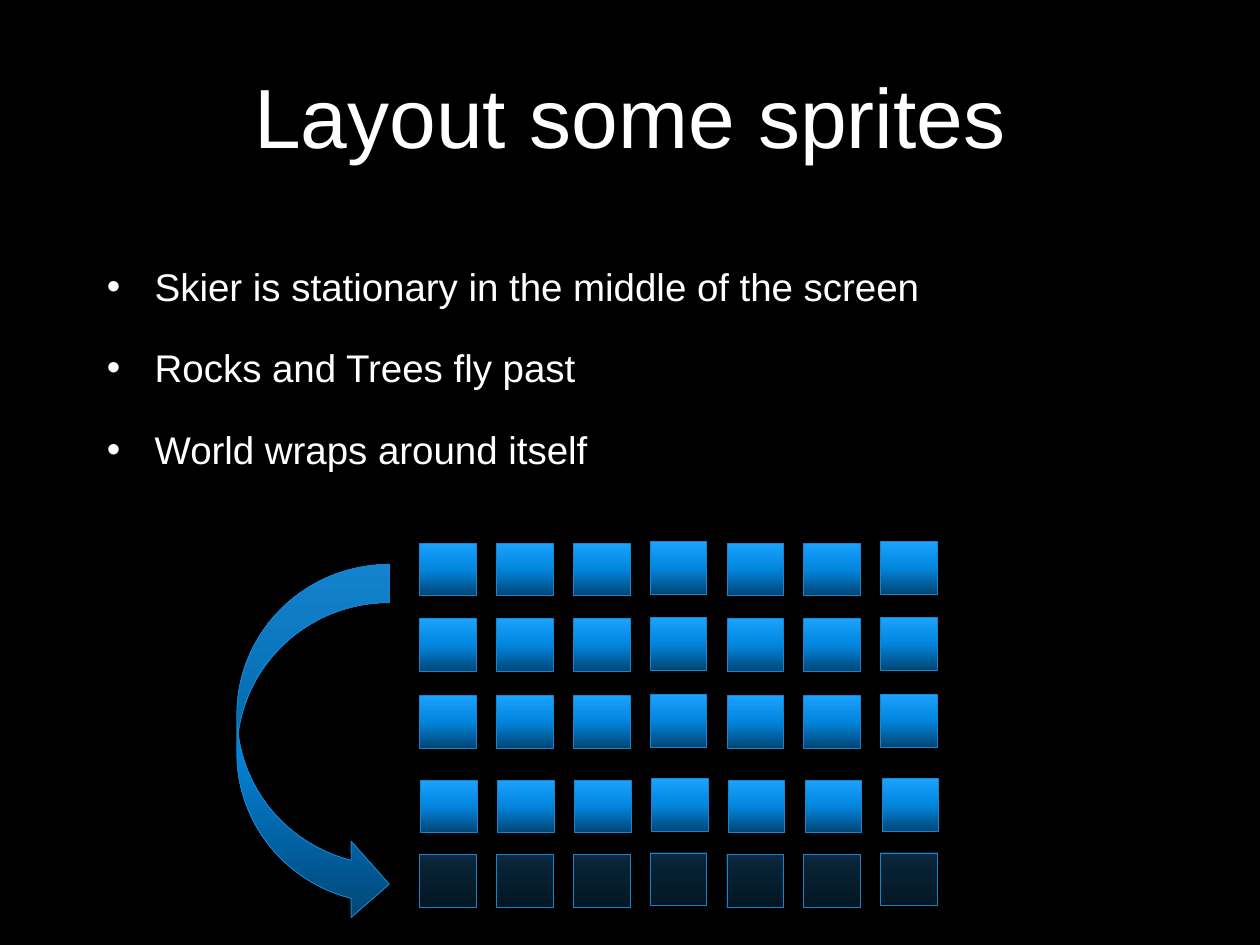
"""Build the sprite layout slide with its bullets, tile grid and wrap arrow."""
import pptx
import pptx.dml.color
import pptx.enum.shapes
import pptx.enum.text
import pptx.oxml
import pptx.oxml.ns
import pptx.util
from lxml import etree

Inches = pptx.util.Inches
Pt = pptx.util.Pt
RGBColor = pptx.dml.color.RGBColor
qn = pptx.oxml.ns.qn
MSO_SHAPE = pptx.enum.shapes.MSO_SHAPE

BLACK = RGBColor(0x00, 0x00, 0x00)
WHITE = RGBColor(0xFF, 0xFF, 0xFF)
OUTLINE = RGBColor(0x18, 0x84, 0xCD)
SOLID_STOPS = [
    (0, RGBColor(0x01, 0x45, 0x73)),
    (50, RGBColor(0x02, 0x85, 0xDD)),
    (100, RGBColor(0x1A, 0xA3, 0xFF)),
]
FADED_STOPS = [
    (0, RGBColor(0x11, 0x4F, 0x79)),
    (80, RGBColor(0x1C, 0x80, 0xC4)),
    (100, RGBColor(0x43, 0x98, 0xEF)),
]


def add_gradient_shape(kind, left, top, width, height, stops, opacity=100):
    sp = s.shapes.add_shape(
        kind, Inches(left), Inches(top), Inches(width), Inches(height))
    sp.shadow.inherit = False
    sp.line.color.rgb = OUTLINE
    sp.line.width = Pt(0.5)
    sp.fill.gradient()
    sp.fill.gradient_angle = 90
    stop_list = sp.element.spPr.find(".//" + qn("a:gsLst"))
    for old_stop in list(stop_list):
        stop_list.remove(old_stop)
    for position, color in stops:
        stop = etree.SubElement(stop_list, qn("a:gs"), pos=str(position * 1000))
        clr = etree.SubElement(stop, qn("a:srgbClr"), val=str(color))
        if opacity < 100:
            etree.SubElement(clr, qn("a:alpha"), val=str(opacity * 1000))


def add_text(left, top, width, height, lines, size):
    tf = s.shapes.add_textbox(
        Inches(left), Inches(top), Inches(width), Inches(height)).text_frame
    tf.word_wrap = True
    tf.text = "\n".join(lines)
    for p in tf.paragraphs:
        for r in p.runs:
            r.font.name = "Arial"
            r.font.size = Pt(size)
            r.font.color.rgb = WHITE
    return tf


prs = pptx.Presentation()
prs.slide_width = Inches(10)
prs.slide_height = Inches(7.5)
s = prs.slides.add_slide(prs.slide_layouts[6])
s.background.fill.solid()
s.background.fill.fore_color.rgb = BLACK

tf = add_text(0.75, 0.13, 8.5, 1.56, ["Layout some sprites"], 48)
tf.vertical_anchor = pptx.enum.text.MSO_ANCHOR.MIDDLE
tf.paragraphs[0].alignment = pptx.enum.text.PP_ALIGN.CENTER

tf = add_text(0.75, 2.04, 8.5, 4.66, [
    "Skier is stationary in the middle of the screen",
    "Rocks and Trees fly past",
    "World wraps around itself",
], 22)
for p in tf.paragraphs:
    p.space_before = Pt(20)
    pPr = p._p.get_or_add_pPr()
    pPr.set("marL", str(Inches(0.38)))
    pPr.set("indent", str(-Inches(0.38)))
    etree.SubElement(pPr, qn("a:buFont"), typeface="Arial")
    etree.SubElement(pPr, qn("a:buChar"), char="•")

tile_rows = [
    (3.33, 4.31, SOLID_STOPS, 100),
    (3.33, 4.91, SOLID_STOPS, 100),
    (3.33, 5.52, SOLID_STOPS, 100),
    (3.34, 6.19, SOLID_STOPS, 100),
    (3.33, 6.78, FADED_STOPS, 28),
]
for left, top, stops, opacity in tile_rows:
    for column in range(7):
        lift = 0.01 if column in (3, 6) else 0
        add_gradient_shape(MSO_SHAPE.RECTANGLE, left + column * 0.61, top - lift,
                           0.45, 0.42, stops, opacity)

add_gradient_shape(MSO_SHAPE.CURVED_RIGHT_ARROW, 1.88, 4.48, 1.21, 2.84, SOLID_STOPS)

prs.save("out.pptx")
